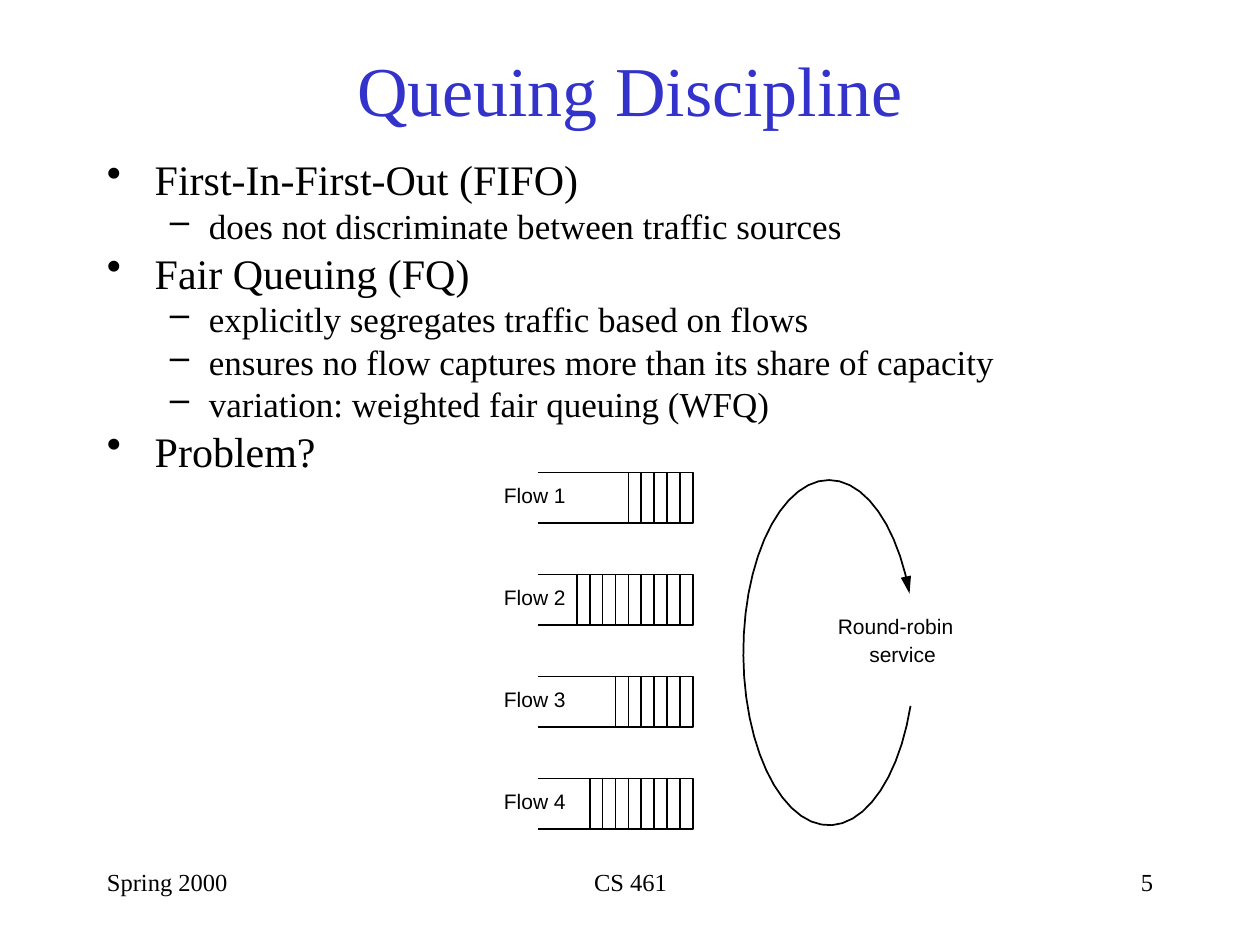
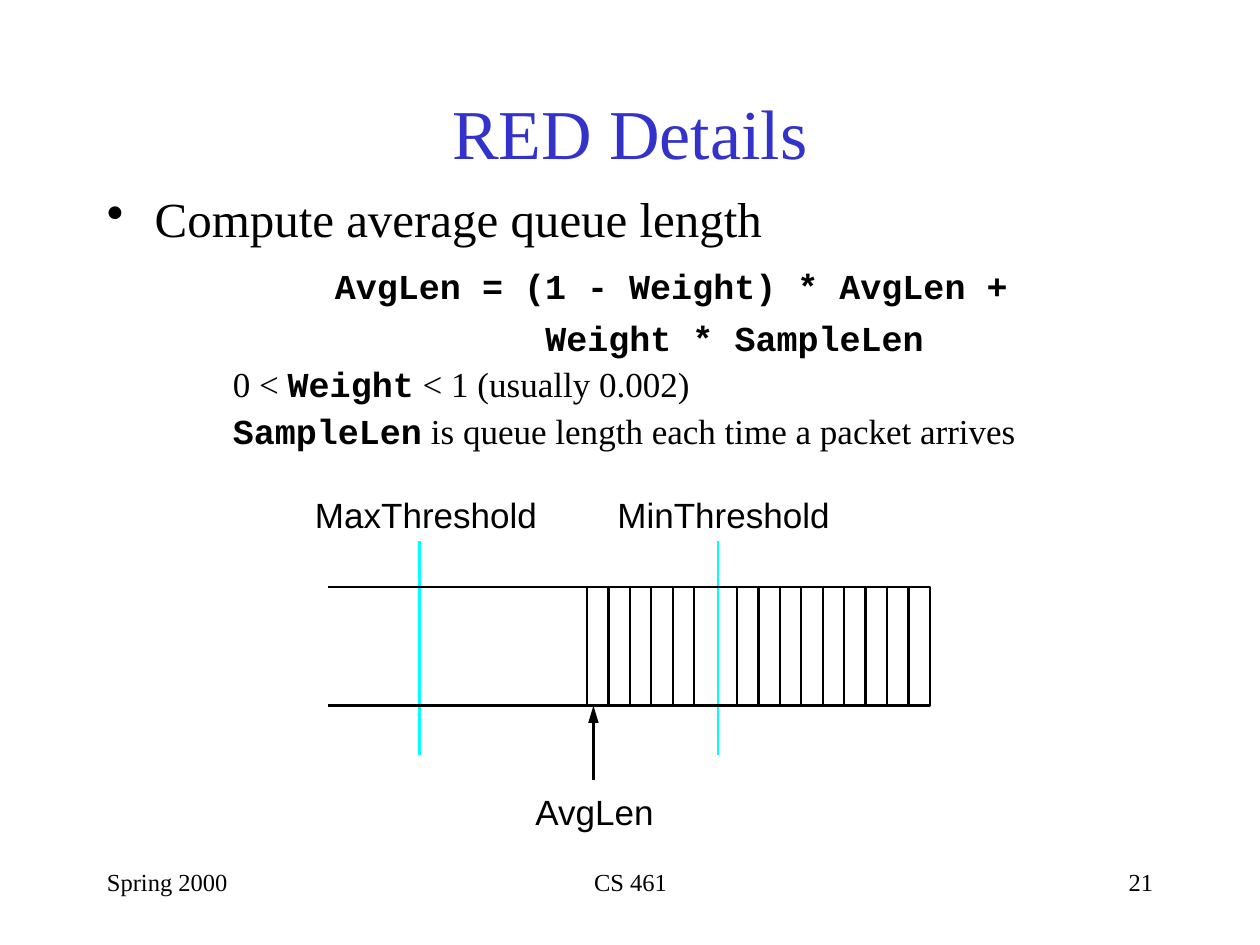
from math import cos, radians, sin

from lxml import etree
from pptx import Presentation
from pptx.dml.color import RGBColor
from pptx.enum.shapes import MSO_CONNECTOR
from pptx.enum.text import MSO_ANCHOR, PP_ALIGN
from pptx.oxml.ns import qn
from pptx.util import Emu, Inches, Pt

LEFT, CENTER, RIGHT = PP_ALIGN.LEFT, PP_ALIGN.CENTER, PP_ALIGN.RIGHT
TOP, MIDDLE = MSO_ANCHOR.TOP, MSO_ANCHOR.MIDDLE
STRAIGHT = MSO_CONNECTOR.STRAIGHT

SERIF, SANS, MONO = "Times New Roman", "Arial", "Courier New"
BLACK, TITLE_BLUE, CYAN = "000000", "3333CC", "00FFFF"

SLIDE_W, SLIDE_H = 10, 7.5
MARGIN = 0.75
CONTENT_W = SLIDE_W - 2 * MARGIN
FOOTER_TOP, FOOTER_H = 6.83, 0.5
FOOTERS = [  # left, width, alignment
    (MARGIN, 2.08, LEFT),
    (3.42, 3.17, CENTER),
    (7.17, 2.08, RIGHT),
]
TERM, COURSE = "Spring 2000", "CS 461"

# Paragraph styles of the body text
HEADING = dict(size=24, bullet="•", indent=0.38, hang=0.38, before=6, spacing=0.8)
POINT = dict(size=20, bullet="–", indent=0.81, hang=0.31, before=5, spacing=0.8)
LEAD = dict(HEADING, size=28, spacing=0.9)
CODE = dict(size=20, indent=1.81, before=12, spacing=0.9)
CODE_REST = dict(CODE, indent=3.48, before=8)
NOTE = dict(size=20, indent=1, before=5, spacing=0.9)

DISCIPLINES = [
    ("First-In-First-Out (FIFO)", HEADING),
    ("does not discriminate between traffic sources", POINT),
    ("Fair Queuing (FQ)", HEADING),
    ("explicitly segregates traffic based on flows", POINT),
    ("ensures no flow captures more than its share of capacity", POINT),
    ("variation: weighted fair queuing (WFQ)", POINT),
    ("Problem?", HEADING),
]
# Text between backquotes is code
RED_RULES = [
    ("Compute average queue length", LEAD),
    ("`AvgLen = (1 - Weight) * AvgLen +`", CODE),
    ("`Weight * SampleLen`", CODE_REST),
    ("0 < `Weight` < 1 (usually 0.002)", NOTE),
    ("`SampleLen` is queue length each time a packet arrives", NOTE),
]

FLOWS = [("Flow 1", 5), ("Flow 2", 9), ("Flow 3", 6), ("Flow 4", 8)]
FLOW_LEFT, FLOW_TOP, FLOW_W, FLOW_H = 4.27, 3.75, 1.23, 0.4
FLOW_STEP, FLOW_SLOTS = 0.81, 12
SERVICE = [("Round-robin", 6.65, 4.87), ("service", 6.9, 5.09)]
CYCLE_X, CYCLE_Y, CYCLE_RX, CYCLE_RY = 6.58, 5.18, 0.68, 1.37
CYCLE_START, CYCLE_END, CYCLE_STEP = 18, 340, 7

QUEUE_LEFT, QUEUE_TOP, QUEUE_W, QUEUE_H = 2.6, 4.66, 4.78, 0.94
PACKETS, PACKET_W, MIN_PACKET = 16, 0.17, 10
THRESHOLDS = [("MaxThreshold", 2.5, 3.33), ("MinThreshold", 4.9, 5.7)]
THRESHOLD_LABEL_TOP, THRESHOLD_TOP, THRESHOLD_H = 3.92, 4.29, 1.7
AVG_X, AVG_LABEL_X, AVG_LABEL_TOP = 4.71, 4.25, 6.27


def rgb(color):
    return RGBColor.from_string(color)


def add_text(slide, paragraphs, left, top, width, height, *, font=SERIF, size=14,
             color=BLACK, align=LEFT, anchor=TOP, inset=(0.1, 0.05), wrap=True):
    """Add a text box; paragraphs are (text, style) pairs or one string."""
    if isinstance(paragraphs, str):
        paragraphs = [(paragraphs, {})]
    frame = slide.shapes.add_textbox(*map(Inches, (left, top, width, height))).text_frame
    frame.word_wrap = wrap
    frame.vertical_anchor = anchor
    frame.margin_left = frame.margin_right = Inches(inset[0])
    frame.margin_top = frame.margin_bottom = Inches(inset[1])
    for index, (text, style) in enumerate(paragraphs):
        paragraph = frame.add_paragraph() if index else frame.paragraphs[0]
        paragraph.alignment = align
        paragraph.line_spacing = style.get("spacing", 1.0)
        if index:
            paragraph.space_before = Pt(style.get("before", 0))
        set_indent(paragraph, style)
        for part, words in enumerate(text.split("`")):
            if not words:
                continue
            run = paragraph.add_run()
            run.text = words
            is_code = part % 2 == 1
            run.font.name = MONO if is_code else font
            run.font.bold = is_code
            run.font.size = Pt(style.get("size", size))
            run.font.color.rgb = rgb(color)


def set_indent(paragraph, style):
    properties = paragraph._p.get_or_add_pPr()
    properties.set("marL", str(Inches(style.get("indent", 0))))
    properties.set("indent", str(-Inches(style.get("hang", 0))))
    if "bullet" in style:
        etree.SubElement(properties, qn("a:buChar"), char=style["bullet"])


def add_label(slide, text, left, top, size):
    add_text(slide, text, left, top, 1.8, size / 60, font=SANS, size=size,
             inset=(0, 0), wrap=False)


def set_line(shape, color, weight, arrow=False):
    shape.line.color.rgb = rgb(color)
    shape.line.width = Pt(weight)
    if arrow:
        etree.SubElement(shape.line._get_or_add_ln(), qn("a:tailEnd"),
                         type="triangle", w="med", len="lg")


def add_line(slide, start, end, color=BLACK, weight=1.25, arrow=False):
    line = slide.shapes.add_connector(STRAIGHT, *map(Inches, (*start, *end)))
    set_line(line, color, weight, arrow)
    etree.SubElement(line._element.spPr, qn("a:effectLst"))


def add_outline(slide, points, weight, arrow=False):
    """Draw an open, unfilled path through the points."""
    first, *rest = [(Inches(x), Inches(y)) for x, y in points]
    builder = slide.shapes.build_freeform(*first)
    builder.add_line_segments(rest, close=False)
    outline = builder.convert_to_shape(Emu(0), Emu(0))
    outline.fill.background()
    outline.shadow.inherit = False
    set_line(outline, BLACK, weight, arrow)


def add_queue(slide, left, top, width, height, packets, pitch, weight, skip=None):
    """Draw a queue open on the left, with packets stacked from the right."""
    right, bottom = left + width, top + height
    add_outline(slide, [(left, top), (right, top), (right, bottom), (left, bottom)], weight)
    for packet in range(1, packets + 1):
        if packet != skip:
            x = right - packet * pitch
            add_line(slide, (x, top), (x, bottom), weight=weight)


def start_slide(deck, title, title_top, body, body_top, number):
    slide = deck.slides.add_slide(deck.slide_layouts[6])
    add_text(slide, title, MARGIN, title_top, CONTENT_W, 1.25, size=40,
             color=TITLE_BLUE, align=CENTER, anchor=MIDDLE)
    add_text(slide, body, MARGIN, body_top, CONTENT_W, 4.5)
    for text, (left, width, align) in zip((TERM, COURSE, number), FOOTERS):
        add_text(slide, text, left, FOOTER_TOP, width, FOOTER_H, align=align)
    return slide


def build_disciplines(deck):
    slide = start_slide(deck, "Queuing Discipline", 0.08, DISCIPLINES, 1.25, "5")
    for row, (flow, packets) in enumerate(FLOWS):
        top = FLOW_TOP + row * FLOW_STEP
        add_queue(slide, FLOW_LEFT, top, FLOW_W, FLOW_H, packets,
                  FLOW_W / FLOW_SLOTS, weight=1)
        add_label(slide, flow, 4, top + 0.08, 12)
    for word, left, top in SERVICE:
        add_label(slide, word, left, top, 12)
    angles = [radians(a) for a in range(CYCLE_START, CYCLE_END + 1, CYCLE_STEP)]
    add_outline(slide, [(CYCLE_X + CYCLE_RX * cos(a), CYCLE_Y + CYCLE_RY * sin(a))
                        for a in angles], weight=1, arrow=True)


def build_red(deck):
    slide = start_slide(deck, "RED Details", 0.42, RED_RULES, 1.5, "21")
    for threshold, label_left, x in THRESHOLDS:
        add_line(slide, (x, THRESHOLD_TOP), (x, THRESHOLD_TOP + THRESHOLD_H), CYAN)
        add_label(slide, threshold, label_left, THRESHOLD_LABEL_TOP, 20)
    add_queue(slide, QUEUE_LEFT, QUEUE_TOP, QUEUE_W, QUEUE_H, PACKETS, PACKET_W,
              weight=1.25, skip=MIN_PACKET)
    add_line(slide, (AVG_X, 6.19), (AVG_X, QUEUE_TOP + QUEUE_H), arrow=True)
    add_label(slide, "AvgLen", AVG_LABEL_X, AVG_LABEL_TOP, 20)


def main():
    deck = Presentation()
    deck.slide_width, deck.slide_height = Inches(SLIDE_W), Inches(SLIDE_H)
    build_disciplines(deck)
    build_red(deck)
    deck.save("out.pptx")


if __name__ == "__main__":
    main()
